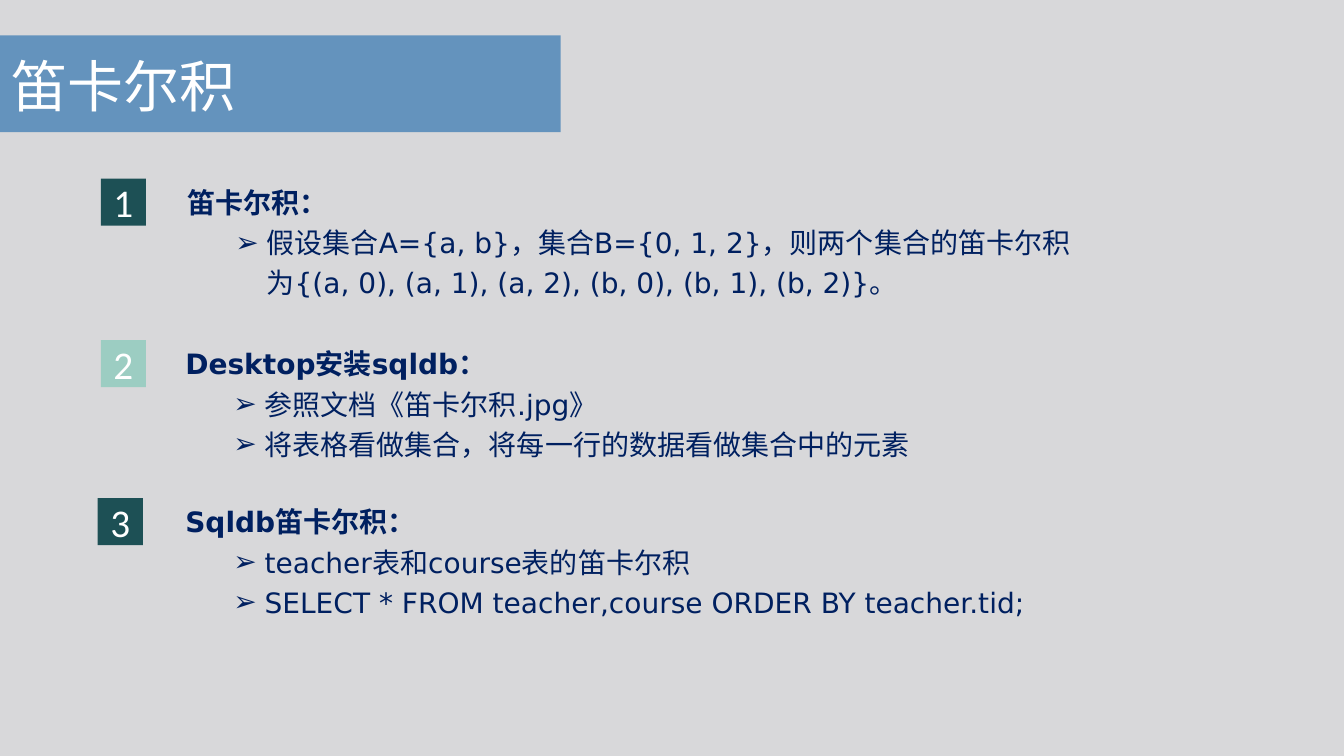
"""Build the slide that explains the Cartesian product in three numbered sections."""
from lxml.etree import SubElement
from pptx import Presentation
from pptx.dml.color import RGBColor
from pptx.enum.shapes import MSO_SHAPE
from pptx.enum.text import MSO_ANCHOR, PP_ALIGN
from pptx.oxml.ns import qn
from pptx.util import Cm, Pt

GREY = RGBColor(0xD8, 0xD8, 0xDA)
BLUE = RGBColor(0x34, 0x77, 0xB2)
TEAL = RGBColor(0x1D, 0x50, 0x55)
MINT = RGBColor(0x9C, 0xCD, 0xC2)
NAVY = RGBColor(0x00, 0x20, 0x60)
WHITE = RGBColor(0xFF, 0xFF, 0xFF)

SECTIONS = [
    (2.54, 4.72, 4.5, TEAL, "笛卡尔积：",
     ["假设集合A={a, b}，集合B={0, 1, 2}，则两个集合的笛卡尔积为"
      "{(a, 0), (a, 1), (a, 2), (b, 0), (b, 1), (b, 2)}。"]),
    (2.54, 4.67, 8.57, MINT, "Desktop安装sqldb：",
     ["参照文档《笛卡尔积.jpg》", "将表格看做集合，将每一行的数据看做集合中的元素"]),
    (2.46, 4.67, 12.55, TEAL, "Sqldb笛卡尔积：",
     ["teacher表和course表的笛卡尔积",
      "SELECT * FROM teacher,course ORDER BY teacher.tid;"]),
]


def write(para, text, size, font, color, bold=False, align=PP_ALIGN.LEFT, spacing=None, bullet=None):
    """Fill a paragraph with one formatted span and an optional bullet."""
    para.alignment = align
    para.line_spacing = spacing
    span = para.add_run()
    span.text = text
    span.font.size = Pt(size)
    span.font.name = font
    span.font.bold = bold
    span.font.color.rgb = color
    if bullet:
        properties = para._p.get_or_add_pPr()
        properties.set("marL", str(Cm(2)))
        properties.set("indent", str(Cm(-0.79)))
        SubElement(properties, qn("a:buFont"), typeface="Wingdings")
        SubElement(properties, qn("a:buChar"), char=bullet)
        properties.find(qn("a:buFont")).set("typeface", "Arial")


def add_block(shapes, left, top, width, height, color):
    """Add a plain filled rectangle."""
    block = shapes.add_shape(MSO_SHAPE.RECTANGLE, Cm(left), Cm(top), Cm(width), Cm(height))
    block.shadow.inherit = False
    block.fill.solid()
    block.fill.fore_color.rgb = color
    block.line.fill.background()
    return block


deck = Presentation()
deck.slide_width, deck.slide_height = Cm(33.87), Cm(19.05)
page = deck.slides.add_slide(deck.slide_layouts[5])
page.background.fill.solid()
page.background.fill.fore_color.rgb = GREY

title = page.shapes.title
title.left, title.top, title.width, title.height = Cm(0.03), Cm(0.74), Cm(13.92), Cm(2.82)
title.text_frame.vertical_anchor = MSO_ANCHOR.MIDDLE
write(title.text_frame.paragraphs[0], "笛卡尔积", 40, "Arial", WHITE)

band = add_block(page.shapes, 0, 0.89, 14.13, 2.44, BLUE)
SubElement(band.element.spPr.find(qn("a:solidFill"))[0], qn("a:alpha"), val="70000")
title.element.addprevious(band.element)

for number, (badge_left, text_left, top, color, heading, points) in enumerate(SECTIONS, 1):
    section = page.shapes.add_group_shape()
    badge = add_block(section.shapes, badge_left, top, 1.14, 1.19, color)
    badge.text_frame.vertical_anchor = MSO_ANCHOR.MIDDLE
    write(badge.text_frame.paragraphs[0], str(number), 28, "Calibri", WHITE, align=PP_ALIGN.CENTER)

    box = section.shapes.add_textbox(Cm(text_left), Cm(top), Cm(22.4), Cm(3.43))
    frame = box.text_frame
    frame.word_wrap = True
    frame.margin_left = frame.margin_top = frame.margin_right = frame.margin_bottom = 0
    write(frame.paragraphs[0], heading, 20, "DejaVu Sans", NAVY, bold=True, spacing=1.2)
    for point in points:
        write(frame.add_paragraph(), point, 20, "DejaVu Sans", NAVY, spacing=1.2, bullet="➢")

deck.save("out.pptx")
